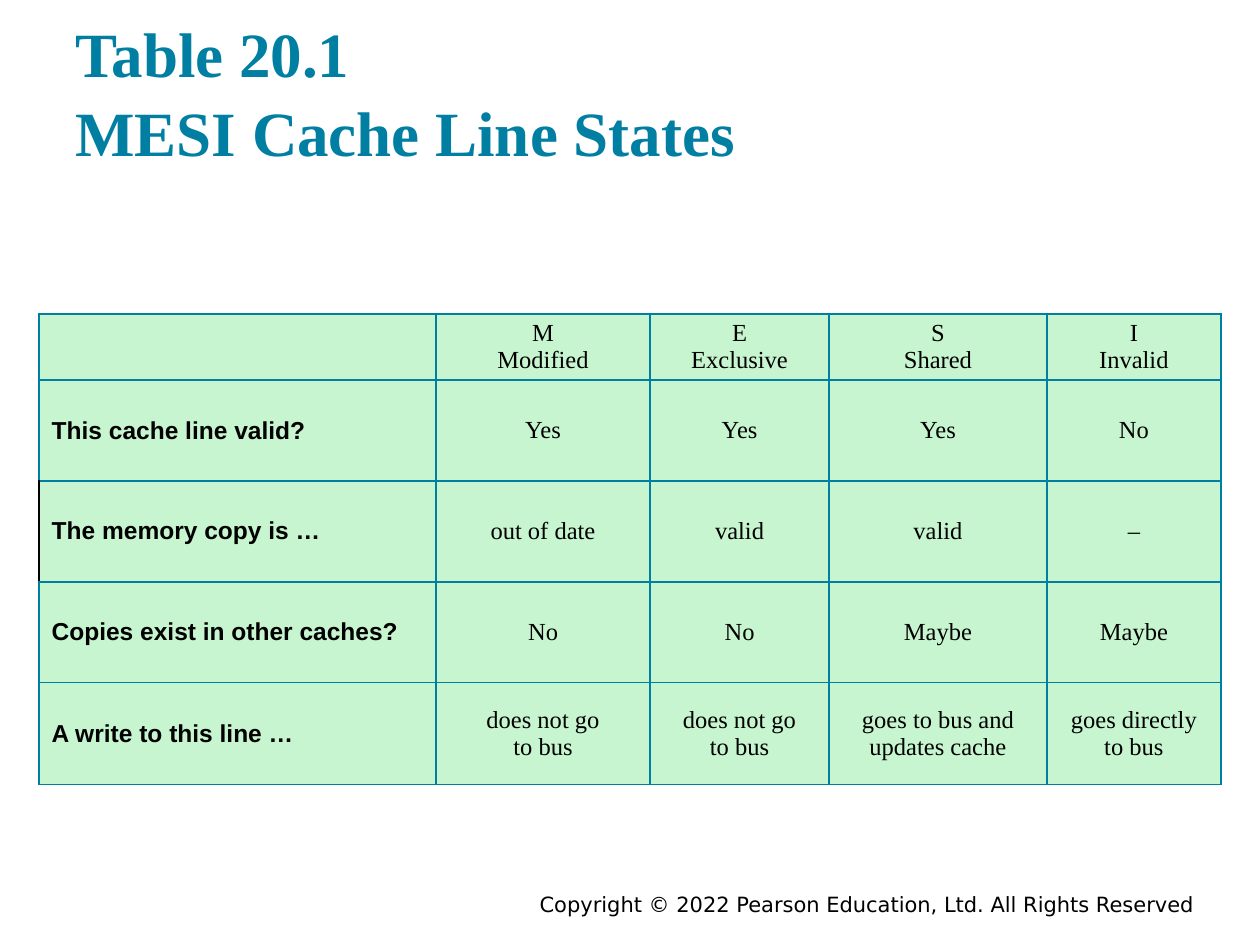
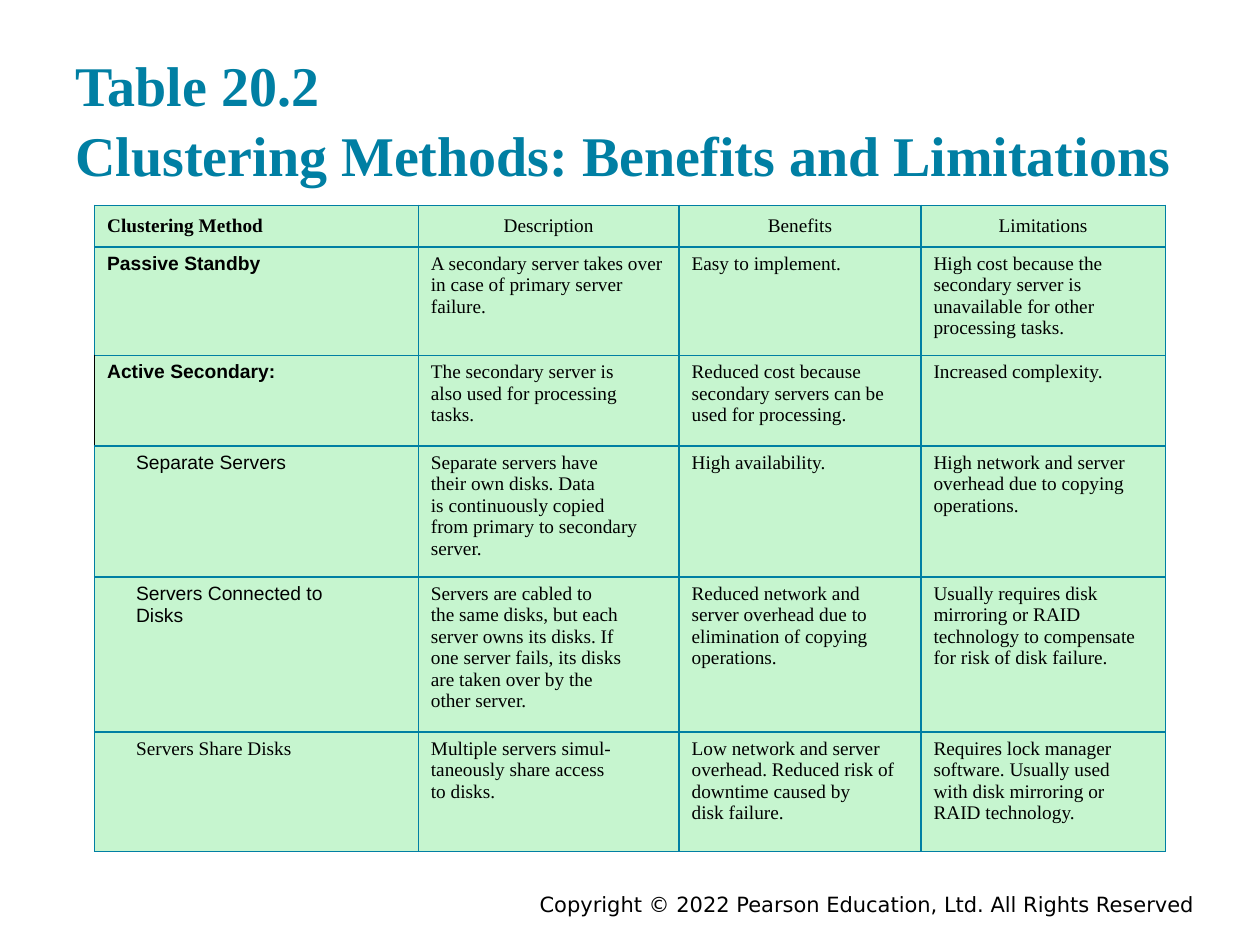
from dataclasses import dataclass

from lxml import etree
from pptx import Presentation
from pptx.dml.color import RGBColor
from pptx.enum.text import MSO_ANCHOR, PP_ALIGN
from pptx.oxml.ns import qn
from pptx.util import Inches, Pt

TEAL, MINT, BLACK = "007FA3", "C6F5CF", "000000"
SERIF, SANS, FOOTER_FONT = "Times New Roman", "Arial", "DejaVu Sans"
COPYRIGHT = "Copyright © 2022 Pearson Education, Ltd. All Rights Reserved"


@dataclass(frozen=True)
class TextStyle:
    size: float
    font: str = SERIF
    bold: bool = False
    color: str = BLACK
    align: PP_ALIGN = PP_ALIGN.LEFT
    indent: float = 0
    spacing: float = 1.0


@dataclass(frozen=True)
class TableSlide:
    title: str
    title_top: float
    title_size: float
    left: float
    top: float
    cols: list[float]
    heights: list[float]
    rows: list[list[str]]
    labels: list[TextStyle]   # first column, one style per row
    header: TextStyle
    body: TextStyle
    middle_rows: int          # rows anchored in the middle, from the top


def rgb(value: str) -> RGBColor:
    return RGBColor.from_string(value)


def write(tf, text: str, style: TextStyle) -> None:
    """Newlines start paragraphs; vertical tabs break lines."""
    for i, para in enumerate(text.split("\n")):
        p = tf.paragraphs[0] if i == 0 else tf.add_paragraph()
        p.alignment = style.align
        if style.spacing != 1:
            p.line_spacing = style.spacing
        if style.indent:
            p._p.get_or_add_pPr().set("marL", str(Inches(style.indent)))
        for j, line in enumerate(para.split("\v")):
            if j:
                p.add_line_break()
            r = p.add_run()
            r.text = line
            r.font.name, r.font.size = style.font, Pt(style.size)
            r.font.bold = style.bold
            r.font.color.rgb = rgb(style.color)


def add_text(s, text: str, box: tuple, style: TextStyle,
             inset_y: float, anchor: MSO_ANCHOR) -> None:
    tf = s.shapes.add_textbox(*map(Inches, box)).text_frame
    tf.word_wrap = True
    tf.vertical_anchor = anchor
    tf.margin_left = tf.margin_right = Inches(0.1)
    tf.margin_top = tf.margin_bottom = Inches(inset_y)
    write(tf, text, style)


def set_borders(cell, left_color: str) -> None:
    tc_pr = cell._tc.get_or_add_tcPr()
    for side in "LRTB":
        ln = etree.SubElement(tc_pr, qn(f"a:ln{side}"), w=str(Pt(1)))
        fill = etree.SubElement(ln, qn("a:solidFill"))
        color = left_color if side == "L" else TEAL
        etree.SubElement(fill, qn("a:srgbClr"), val=color)


def add_grid(s, data: TableSlide) -> None:
    frame = s.shapes.add_table(
        len(data.heights), len(data.cols), Inches(data.left), Inches(data.top),
        Inches(sum(data.cols)), Inches(sum(data.heights)))
    table = frame.table
    table.first_row = table.horz_banding = False
    for col, width in zip(table.columns, data.cols):
        col.width = Inches(width)
    for i, (row, texts) in enumerate(zip(table.rows, data.rows)):
        row.height = Inches(data.heights[i])
        for j, (cell, text) in enumerate(zip(row.cells, texts)):
            # The third row has a black outer edge
            set_borders(cell, BLACK if (i, j) == (2, 0) else TEAL)
            cell.fill.solid()
            cell.fill.fore_color.rgb = rgb(MINT)
            if i < data.middle_rows:
                cell.vertical_anchor = MSO_ANCHOR.MIDDLE
                cell.margin_top = cell.margin_bottom = Inches(0.03)
            if text:
                other = data.header if i == 0 else data.body
                write(cell.text_frame, text, data.labels[i] if j == 0 else other)


def add_table_slide(prs, data: TableSlide) -> None:
    s = prs.slides.add_slide(prs.slide_layouts[6])
    add_text(s, COPYRIGHT, (1.75, 7.03, 7.83, 0.22),
             TextStyle(12, FOOTER_FONT, align=PP_ALIGN.RIGHT), 0.05, MSO_ANCHOR.TOP)
    add_grid(s, data)
    add_text(s, data.title, (0.5, data.title_top, 9, 1.2),
             TextStyle(data.title_size, bold=True, color=TEAL, spacing=1.04),
             0.1, MSO_ANCHOR.BOTTOM)


# Cell styles
STATE = TextStyle(14, align=PP_ALIGN.CENTER)
QUESTION = TextStyle(14, SANS, bold=True)
METHOD = TextStyle(11, SANS, bold=True)
SUBMETHOD = TextStyle(11, SANS, indent=0.23)

MESI = TableSlide(
    title="Table 20.1\vMESI Cache Line States", title_top=0.24, title_size=36,
    left=0.31, top=2.49,
    cols=[3.15, 1.7, 1.42, 1.73, 1.38], heights=[0.52, 0.8, 0.8, 0.8, 0.81],
    rows=[
        ["", "M\nModified", "E\nExclusive", "S\nShared", "I\nInvalid"],
        ["This cache line valid?", "Yes", "Yes", "Yes", "No"],
        ["The memory copy is …", "out of date", "valid", "valid", "–"],
        ["Copies exist in other caches?", "No", "No", "Maybe", "Maybe"],
        ["A write to this line …", "does not go\nto bus", "does not go\nto bus",
         "goes to bus and updates cache", "goes directly\nto bus"],
    ],
    labels=[QUESTION] * 5, header=STATE, body=STATE, middle_rows=5)

CLUSTERING = TableSlide(
    title="Table 20.2\vClustering Methods: Benefits and Limitations",
    title_top=0.39, title_size=32, left=0.75, top=1.63,
    cols=[2.57, 2.07, 1.92, 1.94], heights=[0.33, 0.86, 0.72, 1.04, 1.23, 0.95],
    rows=[
        ["Clustering Method", "Description", "Benefits", "Limitations"],
        ["Passive Standby",
         "A secondary server takes over in case of primary server failure.",
         "Easy to implement.",
         "High cost because the secondary server is unavailable for other "
         "processing tasks."],
        ["Active Secondary:",
         "The secondary server is\nalso used for processing\ntasks.",
         "Reduced cost because\nsecondary servers can be used for processing.",
         "Increased complexity."],
        ["Separate Servers",
         "Separate servers have\ntheir own disks. Data\nis continuously copied\n"
         "from primary to secondary\nserver.",
         "High availability.",
         "High network and server\noverhead due to copying\noperations."],
        ["Servers Connected to\vDisks",
         "Servers are cabled to\nthe same disks, but each\n"
         "server owns its disks. If\none server fails, its disks\n"
         "are taken over by the\nother server.",
         "Reduced network and\nserver overhead due to\n"
         "elimination of copying\noperations.",
         "Usually requires disk\nmirroring or RAID technology to compensate\n"
         "for risk of disk failure."],
        ["Servers Share Disks",
         "Multiple servers simul-taneously share access\nto disks.",
         "Low network and server overhead. Reduced risk of downtime caused by\n"
         "disk failure.",
         "Requires lock manager\nsoftware. Usually used\n"
         "with disk mirroring or\nRAID technology."],
    ],
    labels=[TextStyle(11, bold=True), METHOD, METHOD, SUBMETHOD, SUBMETHOD,
            TextStyle(11, indent=0.23)],
    header=TextStyle(11, align=PP_ALIGN.CENTER), body=TextStyle(11), middle_rows=1)


def main() -> None:
    prs = Presentation()
    prs.slide_width, prs.slide_height = Inches(10), Inches(7.5)
    for data in (MESI, CLUSTERING):
        add_table_slide(prs, data)
    prs.save("out.pptx")


if __name__ == "__main__":
    main()
